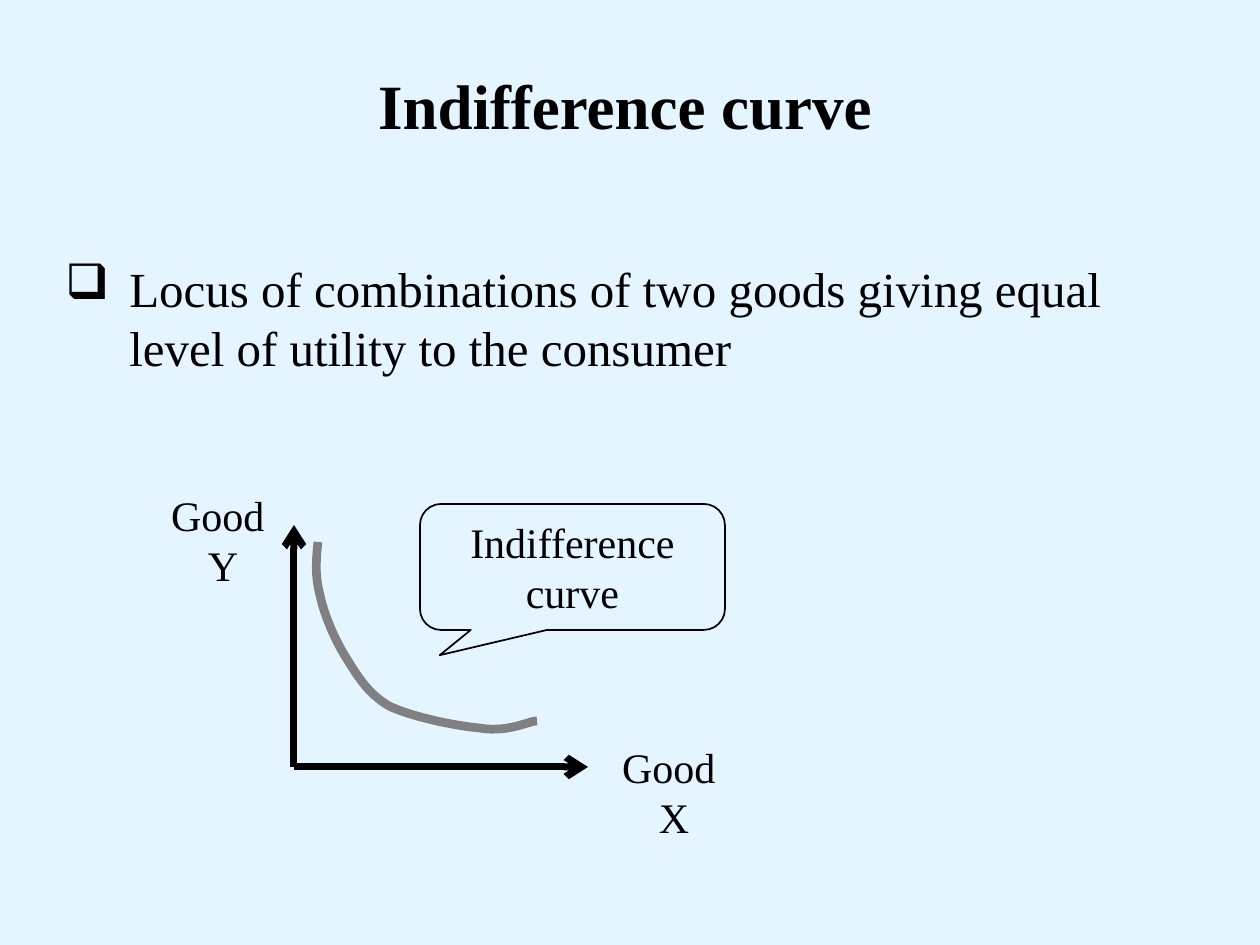
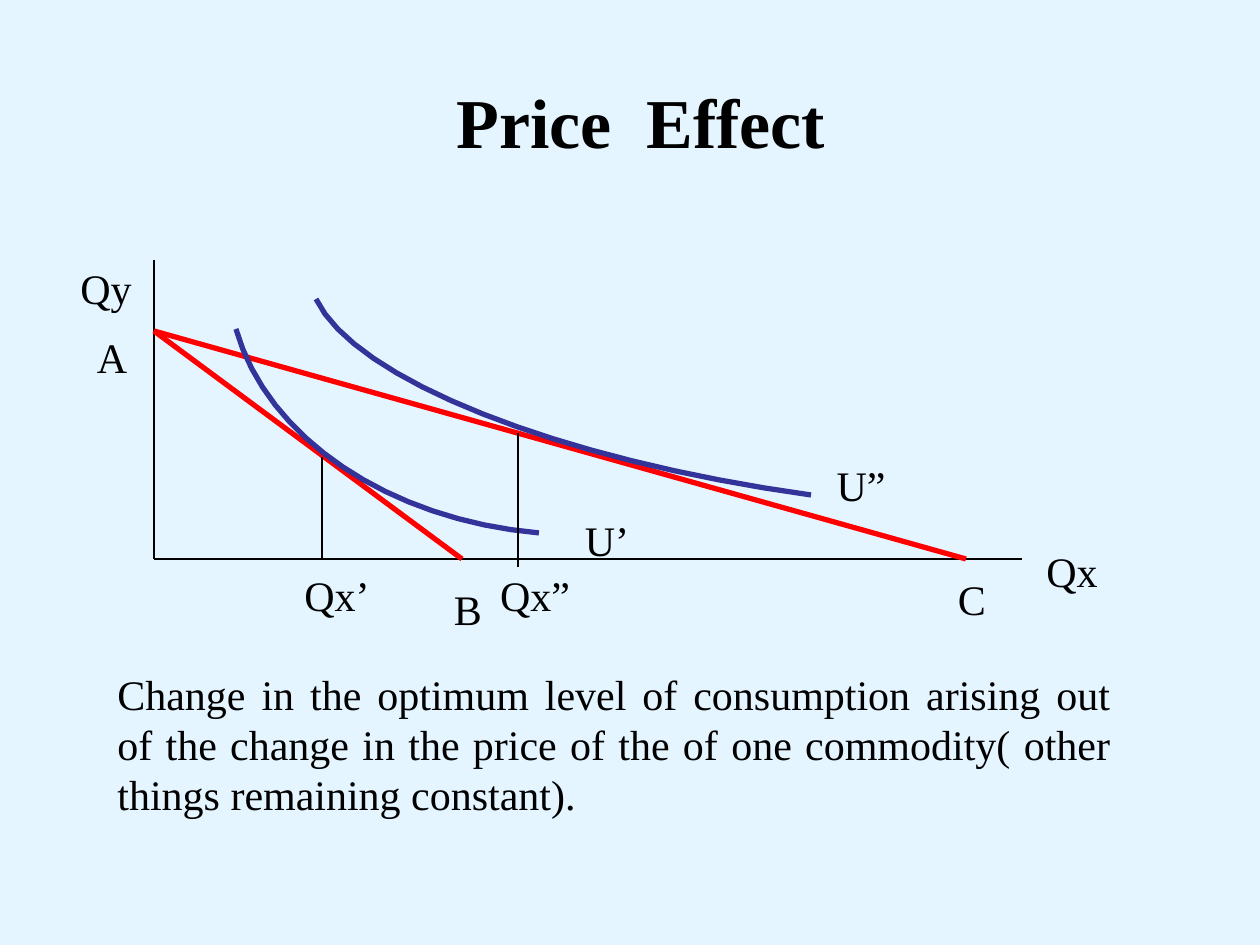
"""Builds two slides on indifference curves and the price effect."""
from lxml import etree
from pptx import Presentation
from pptx.dml.color import RGBColor
from pptx.enum.shapes import MSO_CONNECTOR, MSO_SHAPE
from pptx.enum.text import MSO_ANCHOR, MSO_AUTO_SIZE, PP_ALIGN
from pptx.oxml.ns import qn
from pptx.util import Emu, Pt

STRAIGHT = MSO_CONNECTOR.STRAIGHT
CALLOUT = MSO_SHAPE.ROUNDED_RECTANGULAR_CALLOUT
TOP, MIDDLE = MSO_ANCHOR.TOP, MSO_ANCHOR.MIDDLE
NO_FIT = MSO_AUTO_SIZE.NONE
LEFT, CENTER, JUSTIFY = PP_ALIGN.LEFT, PP_ALIGN.CENTER, PP_ALIGN.JUSTIFY

FONT = "Times New Roman"
COLORS = {
    "background": "E5F5FF",
    "ink": "000000",
    "budget": "FF0000",
    "utility": "333399",
    "indifference": "808080",
}
PX_PER_INCH = 126
TITLE_ONLY = 5
CURVE_STEPS = 16


def px(length):
    return Emu(round(length * 914400 / PX_PER_INCH))


def rgb(name):
    return RGBColor.from_string(COLORS[name])


def cubic(start, first, second, end):
    for step in range(1, CURVE_STEPS + 1):
        t = step / CURVE_STEPS
        s = 1 - t
        yield tuple(
            px(s**3 * a + 3 * s * s * t * b + 3 * s * t * t * c + t**3 * d)
            for a, b, c, d in zip(start, first, second, end)
        )


class Deck:
    def __init__(self):
        self.prs = Presentation()
        self.prs.slide_width, self.prs.slide_height = px(1260), px(945)
        backdrop = self.prs.slide_master.background.fill
        backdrop.solid()
        backdrop.fore_color.rgb = rgb("background")

    def slide(self, title, box, size):
        layout = self.prs.slide_layouts[TITLE_ONLY]
        self.shapes = self.prs.slides.add_slide(layout).shapes
        heading = self.shapes.title
        heading.left, heading.top, heading.width, heading.height = map(px, box)
        self.set_text(heading, title, size, bold=True)

    def set_text(self, shape, text, size=24, align=CENTER, wrap=True, anchor=TOP, bold=False):
        frame = shape.text_frame
        frame.text = text
        frame.word_wrap = wrap
        frame.auto_size = NO_FIT
        frame.vertical_anchor = anchor
        for paragraph in frame.paragraphs:
            paragraph.alignment = align
            for run in paragraph.runs:
                run.font.name = FONT
                run.font.size = Pt(size)
                run.font.bold = bold
                run.font.color.rgb = rgb("ink")

    def text(self, text, box, **style):
        holder = self.shapes.add_textbox(*map(px, box))
        self.set_text(holder, text, **style)
        return holder

    def label(self, text, center, top):
        self.text(text, (center - 40, top, 80, 63), wrap=False)

    def bullet(self, text, box, size, indent):
        point = self.text(text, box, size=size, align=LEFT).text_frame.paragraphs[0]
        properties = point._p.get_or_add_pPr()
        properties.set("marL", str(px(indent)))
        properties.set("indent", str(-px(indent)))
        etree.SubElement(properties, qn("a:buChar"), char="❑")

    def callout(self, text, box, adjustments):
        bubble = self.shapes.add_shape(CALLOUT, *map(px, box))
        bubble.shadow.inherit = False
        bubble.fill.background()
        self.outline(bubble, "ink", 1)
        for index, value in enumerate(adjustments):
            bubble.adjustments[index] = value
        self.set_text(bubble, text, anchor=MIDDLE)

    def outline(self, shape, color, width):
        shape.line.color.rgb = rgb(color)
        shape.line.width = Pt(width)

    def line(self, start, end, color="ink", width=0.75, arrow=False):
        connector = self.shapes.add_connector(STRAIGHT, *map(px, start + end))
        self.outline(connector, color, width)
        properties = connector._element.spPr
        if arrow:
            etree.SubElement(properties.find(qn("a:ln")), qn("a:tailEnd"), type="arrow")
        etree.SubElement(properties, qn("a:effectLst"))

    def curve(self, points, color, width):
        builder = self.shapes.build_freeform(*map(px, points[0]))
        for i in range(0, len(points) - 1, 3):
            builder.add_line_segments(list(cubic(*points[i:i + 4])), close=False)
        outline = builder.convert_to_shape()
        outline.shadow.inherit = False
        outline.fill.background()
        self.outline(outline, color, width)


def indifference_curve(deck):
    deck.slide("Indifference curve", (95, 60, 1060, 130), 36)
    deck.bullet(
        "Locus of combinations of two goods giving equal level of utility to the consumer",
        (53, 252, 1113, 131), 28, 64,
    )
    deck.callout("Indifference curve", (420, 504, 305, 126), (-0.435, 0.7, 0.167))
    origin = (294, 767)
    for tip in ((294, 525), (588, 767)):
        deck.line(origin, tip, width=4, arrow=True)
    deck.curve(
        [(318, 542), (316, 561), (315, 576), (320, 595),
         (324, 614), (334, 638), (345, 656),
         (357, 675), (367, 693), (389, 706),
         (412, 717), (456, 726), (479, 728),
         (503, 732), (520, 725), (528, 723),
         (531, 722), (534, 721), (537, 721)],
        "indifference", 5,
    )
    deck.label("Good \nY", 223, 483)
    deck.label("Good \nX", 674, 735)


def price_effect(deck):
    deck.slide("Price  Effect", (242, 72, 798, 88), 40)
    axis_x, axis_y = 154, 559
    deck.line((axis_x, 260), (axis_x, axis_y))
    deck.line((axis_x, axis_y), (1022, axis_y))
    for intercept in (462, 966):
        deck.line((axis_x, 331), (intercept, axis_y), "budget", 3)
    for utility in (
        [(539, 533), (389, 520), (267, 438), (236, 329)],
        [(811, 495), (557, 460), (354, 379), (316, 299)],
    ):
        deck.curve(utility, "utility", 3)
    for quantity, top, bottom in ((322, 457, axis_y), (518, 433, 567)):
        deck.line((quantity, top), (quantity, bottom))
    for text, center, top in (
        ("Qy", 106, 256), ("Qx", 1072, 539), ("U’", 607, 508), ("U”", 861, 453),
        ("Qx’", 337, 563), ("Qx”", 535, 563), ("C", 972, 567), ("B", 468, 577),
        ("A", 112, 325),
    ):
        deck.label(text, center, top)
    deck.text(
        "Change in the optimum level of consumption arising out of the change in the "
        "price of the of one commodity( other things remaining constant).",
        (105, 662, 1018, 164), align=JUSTIFY,
    )


def main():
    deck = Deck()
    indifference_curve(deck)
    price_effect(deck)
    deck.prs.save("out.pptx")


if __name__ == "__main__":
    main()
